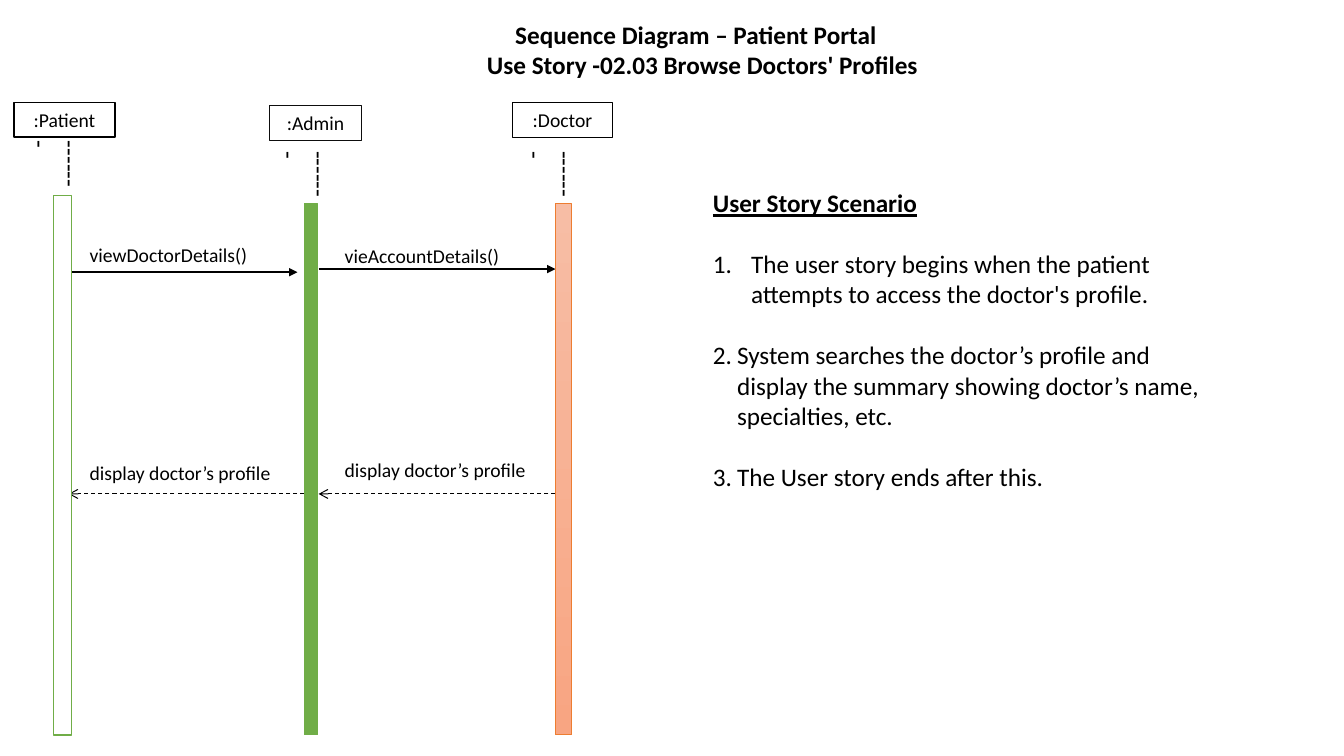
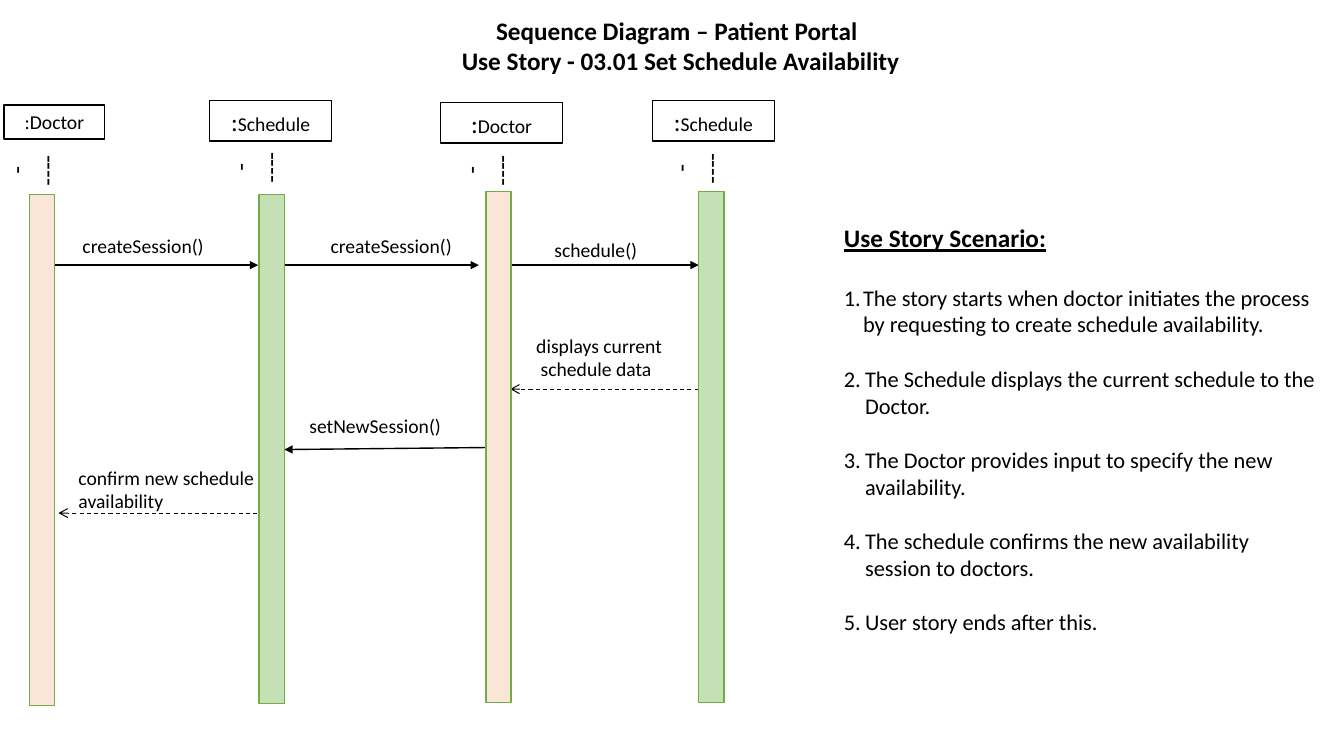
from dataclasses import dataclass
from typing import Any, NamedTuple

from lxml import etree
from pptx import Presentation
from pptx.dml.color import RGBColor
from pptx.enum.dml import MSO_LINE
from pptx.enum.shapes import MSO_CONNECTOR, MSO_SHAPE
from pptx.enum.text import MSO_ANCHOR, MSO_AUTO_SIZE, PP_ALIGN
from pptx.oxml.ns import qn
from pptx.util import Inches, Pt

STRAIGHT = MSO_CONNECTOR.STRAIGHT
RECTANGLE = MSO_SHAPE.RECTANGLE
DASH = MSO_LINE.DASH
TOP, MIDDLE = MSO_ANCHOR.TOP, MSO_ANCHOR.MIDDLE
LEFT, CENTER = PP_ALIGN.LEFT, PP_ALIGN.CENTER
NO_FIT, GROW = MSO_AUTO_SIZE.NONE, MSO_AUTO_SIZE.SHAPE_TO_FIT_TEXT

FONT = "Calibri"
BLACK, WHITE = "000000", "FFFFFF"
GREEN, PALE_GREEN = "70AD47", "C5E0B4"
ORANGE, PEACH = "ED7D31", "FBE5D6"
SALMON = ("F7BDA5", "F8A582")
LABEL_SIZE, HEADING_SIZE = 14, 18
LINE_HEIGHT = 1.22

TITLE_FRAME = {"word_wrap": True, "auto_size": NO_FIT, "vertical_anchor": TOP}
HEAD_FRAME = {"word_wrap": True, "vertical_anchor": MIDDLE}
LABEL_FRAME = {"word_wrap": True, "vertical_anchor": TOP}
DASHES_FRAME = {"word_wrap": True, "auto_size": GROW}
TIGHT = {"space_before": Pt(0), "space_after": Pt(0), "line_spacing": 1.0}


class Box(NamedTuple):
    left: float
    top: float
    width: float
    height: float


@dataclass(frozen=True)
class Lifeline:
    role: str
    head: Box
    dashes: Box
    bar: Box
    fill: str | tuple[str, str]
    outline: str = GREEN
    bar_width: float = 1
    head_width: float = 1
    head_color: str = BLACK
    colon_size: int = LABEL_SIZE


@dataclass(frozen=True)
class Message:
    start: tuple[float, float]
    end: tuple[float, float]
    label: str
    label_box: Box
    reply: bool = False


@dataclass(frozen=True)
class Scenario:
    heading: str
    steps: tuple[str, ...]
    hangs: tuple[float, ...]
    size: int
    box: Box


@dataclass(frozen=True)
class Diagram:
    title: tuple[str, str]
    title_box: Box
    title_indent: float
    dashes: str
    dashes_align: Any
    lifelines: tuple[Lifeline, ...]
    messages: tuple[Message, ...]
    scenario: Scenario


def rgb(color: str) -> RGBColor:
    return RGBColor.from_string(color)


def set_values(target: Any, values: dict[str, Any]) -> None:
    for attribute, value in values.items():
        setattr(target, attribute, value)


def lengths(box: Box) -> list[int]:
    return [Inches(value) for value in box]


def place(shape: Any, box: Box) -> None:
    set_values(shape, dict(zip(box._fields, lengths(box))))


def format_run(run: Any, size: int, bold: bool = False, underline: bool = False) -> None:
    set_values(run.font, {"name": FONT, "size": Pt(size), "bold": bold, "underline": underline})
    run.font.color.rgb = rgb(BLACK)


def write(paragraph: Any, text: str, size: int, bold: bool = False, underline: bool = False) -> None:
    paragraph.text = text
    for run in paragraph.runs:
        format_run(run, size, bold, underline)


def set_indent(paragraph: Any, margin: float, hang: float = 0) -> Any:
    properties = paragraph._p.get_or_add_pPr()
    properties.set("marL", str(Inches(margin)))
    properties.set("indent", str(-Inches(hang)))
    return properties


def add_title(slide: Any, diagram: Diagram) -> None:
    title = slide.shapes.title
    place(title, diagram.title_box)
    frame = title.text_frame
    set_values(frame, TITLE_FRAME)
    for text, indent in zip(diagram.title, (diagram.title_indent, 0)):
        paragraph = frame.paragraphs[0] if indent else frame.add_paragraph()
        write(paragraph, text, HEADING_SIZE, bold=True)
        set_values(paragraph, TIGHT | {"alignment": LEFT})
        set_indent(paragraph, indent)


def add_scenario(slide: Any, scenario: Scenario) -> None:
    body = slide.placeholders[1]
    place(body, scenario.box)
    frame = body.text_frame
    set_values(frame, TITLE_FRAME)
    heading = frame.paragraphs[0]
    write(heading, scenario.heading, HEADING_SIZE, bold=True, underline=True)
    set_values(heading, TIGHT)
    etree.SubElement(set_indent(heading, 0), qn("a:buNone"))
    previous_size = HEADING_SIZE
    for number, (step, hang) in enumerate(zip(scenario.steps, scenario.hangs), 1):
        paragraph = frame.add_paragraph()
        write(paragraph, step, scenario.size)
        set_values(paragraph, TIGHT | {"space_before": Pt(previous_size * LINE_HEIGHT)})
        numbering = etree.SubElement(set_indent(paragraph, hang, hang), qn("a:buAutoNum"))
        numbering.set("type", "arabicPeriod")
        numbering.set("startAt", str(number))
        previous_size = scenario.size


def add_rectangle(slide: Any, box: Box, outline: str, width: float) -> Any:
    rectangle = slide.shapes.add_shape(RECTANGLE, *lengths(box))
    rectangle.shadow.inherit = False
    rectangle.line.color.rgb = rgb(outline)
    rectangle.line.width = Pt(width)
    return rectangle


def add_lifeline(slide: Any, lifeline: Lifeline, diagram: Diagram) -> None:
    bar = add_rectangle(slide, lifeline.bar, lifeline.outline, lifeline.bar_width)
    if isinstance(lifeline.fill, tuple):
        bar.fill.gradient()
        bar.fill.gradient_angle = 270
        for stop, color in zip(bar.fill.gradient_stops, lifeline.fill):
            stop.color.rgb = rgb(color)
    else:
        bar.fill.solid()
        bar.fill.fore_color.rgb = rgb(lifeline.fill)

    head = add_rectangle(slide, lifeline.head, lifeline.head_color, lifeline.head_width)
    head.fill.background()
    set_values(head.text_frame, HEAD_FRAME)
    name = head.text_frame.paragraphs[0]
    name.alignment = CENTER
    for text, size in ((":", lifeline.colon_size), (lifeline.role, LABEL_SIZE)):
        run = name.add_run()
        run.text = text
        format_run(run, size)

    dashes = slide.shapes.add_textbox(*lengths(lifeline.dashes)).text_frame
    set_values(dashes, DASHES_FRAME)
    dashes._txBody.bodyPr.set("vert", "eaVert")
    write(dashes.paragraphs[0], diagram.dashes, HEADING_SIZE)
    dashes.paragraphs[0].alignment = diagram.dashes_align


def add_message(slide: Any, message: Message) -> None:
    points = [Inches(value) for value in (*message.start, *message.end)]
    arrow = slide.shapes.add_connector(STRAIGHT, *points)
    arrow.line.color.rgb = rgb(BLACK)
    arrow.line.width = Pt(0.75 if message.reply else 1)
    if message.reply:
        arrow.line.dash_style = DASH
    tip = etree.SubElement(arrow.line._get_or_add_ln(), qn("a:tailEnd"))
    tip.set("type", "arrow" if message.reply else "triangle")
    etree.SubElement(arrow._element.spPr, qn("a:effectLst"))

    label = slide.shapes.add_textbox(*lengths(message.label_box)).text_frame
    set_values(label, LABEL_FRAME)
    write(label.paragraphs[0], message.label, LABEL_SIZE)


def add_diagram(deck: Any, diagram: Diagram) -> None:
    slide = deck.slides.add_slide(deck.slide_layouts[1])
    add_title(slide, diagram)
    add_scenario(slide, diagram.scenario)
    for message in diagram.messages:
        add_message(slide, message)
    for lifeline in diagram.lifelines:
        add_lifeline(slide, lifeline, diagram)


PROFILES = Diagram(
    title=("Sequence Diagram – Patient Portal", "Use Story -02.03 Browse Doctors' Profiles"),
    title_box=Box(4.73, 0.14, 4.65, 0.71),
    title_indent=0.28,
    dashes="-------",
    dashes_align=LEFT,
    lifelines=(
        Lifeline("Patient", Box(0.14, 1.02, 1, 0.34), Box(0.41, 1.3, 0.5, 0.66),
                 Box(0.53, 1.94, 0.18, 5.35), WHITE),
        Lifeline("Admin", Box(2.67, 1.05, 0.92, 0.34), Box(2.88, 1.4, 0.5, 0.69),
                 Box(3.02, 2.02, 0.13, 5.27), GREEN, head_width=0.75, head_color="0D0D0D"),
        Lifeline("Doctor", Box(5.08, 1.02, 1, 0.34), Box(5.32, 1.4, 0.5, 0.73),
                 Box(5.51, 2.02, 0.16, 5.27), SALMON, ORANGE, 0.5, head_width=0.75),
    ),
    messages=(
        Message((0.71, 2.7), (2.95, 2.7), "viewDoctorDetails()", Box(0.79, 2.36, 1.93, 0.34)),
        Message((3.16, 2.67), (5.51, 2.67), "vieAccountDetails()", Box(3.32, 2.37, 1.92, 0.34)),
        Message((5.51, 4.9), (3.16, 4.9), "display doctor’s profile", Box(3.32, 4.49, 2.48, 0.34), True),
        Message((3.02, 4.9), (0.68, 4.9), "display doctor’s profile", Box(0.79, 4.52, 2.48, 0.34), True),
    ),
    scenario=Scenario(
        "User Story Scenario",
        ("The user story begins when the patient attempts to access the doctor's profile.",
         "System searches the doctor’s profile and\ndisplay the summary showing doctor’s name,\nspecialties, etc.",
         "The User story ends after this."),
        (0.38, 0.24, 0.24), 18, Box(6.97, 1.81, 5.25, 3.43),
    ),
)

AVAILABILITY = Diagram(
    title=("Sequence Diagram – Patient Portal", "Use Story - 03.01 Set Schedule Availability"),
    title_box=Box(4.48, 0.1, 4.66, 0.71),
    title_indent=0.34,
    dashes="-----",
    dashes_align=CENTER,
    lifelines=(
        Lifeline("Doctor", Box(0.04, 1.04, 1, 0.34), Box(0.21, 1.44, 0.5, 0.51),
                 Box(0.29, 1.93, 0.25, 5.07), PEACH),
        Lifeline("Schedule", Box(2.08, 1, 1.21, 0.4), Box(2.43, 1.41, 0.5, 0.51),
                 Box(2.57, 1.93, 0.25, 5.05), PALE_GREEN, colon_size=18),
        Lifeline("Doctor", Box(4.37, 1.02, 1.21, 0.4), Box(4.72, 1.44, 0.5, 0.51),
                 Box(4.82, 1.9, 0.25, 5.07), PEACH, colon_size=18),
        Lifeline("Schedule", Box(6.47, 1, 1.21, 0.4), Box(6.8, 1.42, 0.5, 0.51),
                 Box(6.93, 1.9, 0.25, 5.07), PALE_GREEN, colon_size=18),
    ),
    messages=(
        Message((0.54, 2.63), (2.56, 2.63), "createSession()", Box(0.72, 2.27, 1.5, 0.34)),
        Message((2.82, 2.63), (4.75, 2.63), "createSession()", Box(3.18, 2.27, 2.04, 0.34)),
        Message((5.06, 2.63), (6.93, 2.63), "schedule()", Box(5.4, 2.31, 2.04, 0.34)),
        Message((6.93, 3.86), (5.06, 3.86), "displays current\n schedule data",
                Box(5.22, 3.26, 1.61, 0.57), True),
        Message((4.82, 4.44), (2.82, 4.46), "setNewSession()", Box(2.97, 4.06, 1.98, 0.34)),
        Message((2.55, 5.09), (0.58, 5.09), "confirm new schedule availability",
                Box(0.68, 4.57, 2.04, 0.57), True),
    ),
    scenario=Scenario(
        "Use Story Scenario:",
        ("The story starts when doctor initiates the process\nby requesting to create schedule availability.",
         "The Schedule displays the current schedule to the\nDoctor.",
         "The Doctor provides input to specify the new\navailability.",
         "The schedule confirms the new availability\nsession to doctors.",
         "User story ends after this."),
        (0.19, 0.21, 0.21, 0.21, 0.21), 16, Box(8.27, 2.16, 5.06, 4.81),
    ),
)


def main() -> None:
    deck = Presentation()
    deck.slide_width, deck.slide_height = Inches(13.33), Inches(7.5)
    for diagram in (PROFILES, AVAILABILITY):
        add_diagram(deck, diagram)
    deck.save("out.pptx")


if __name__ == "__main__":
    main()
